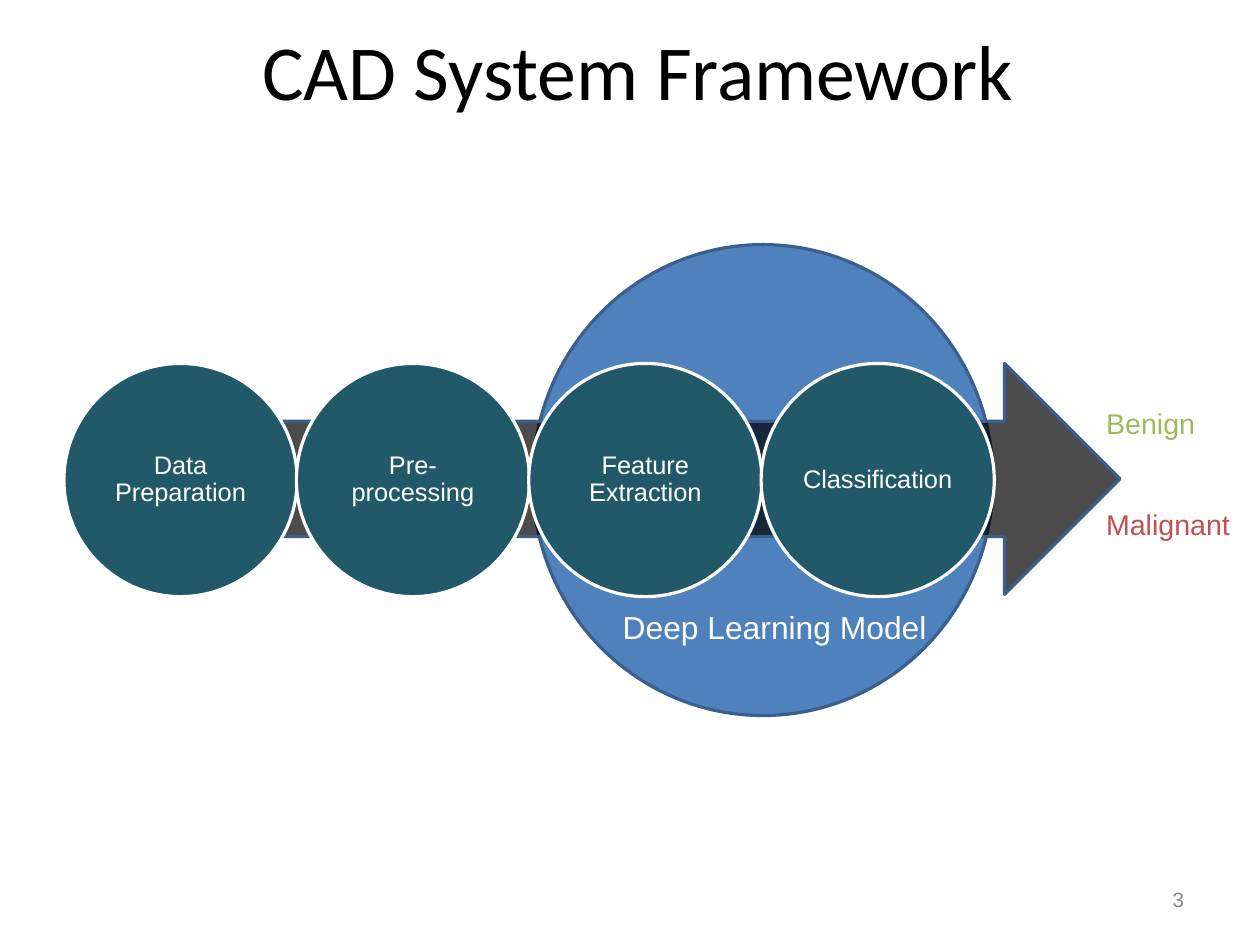
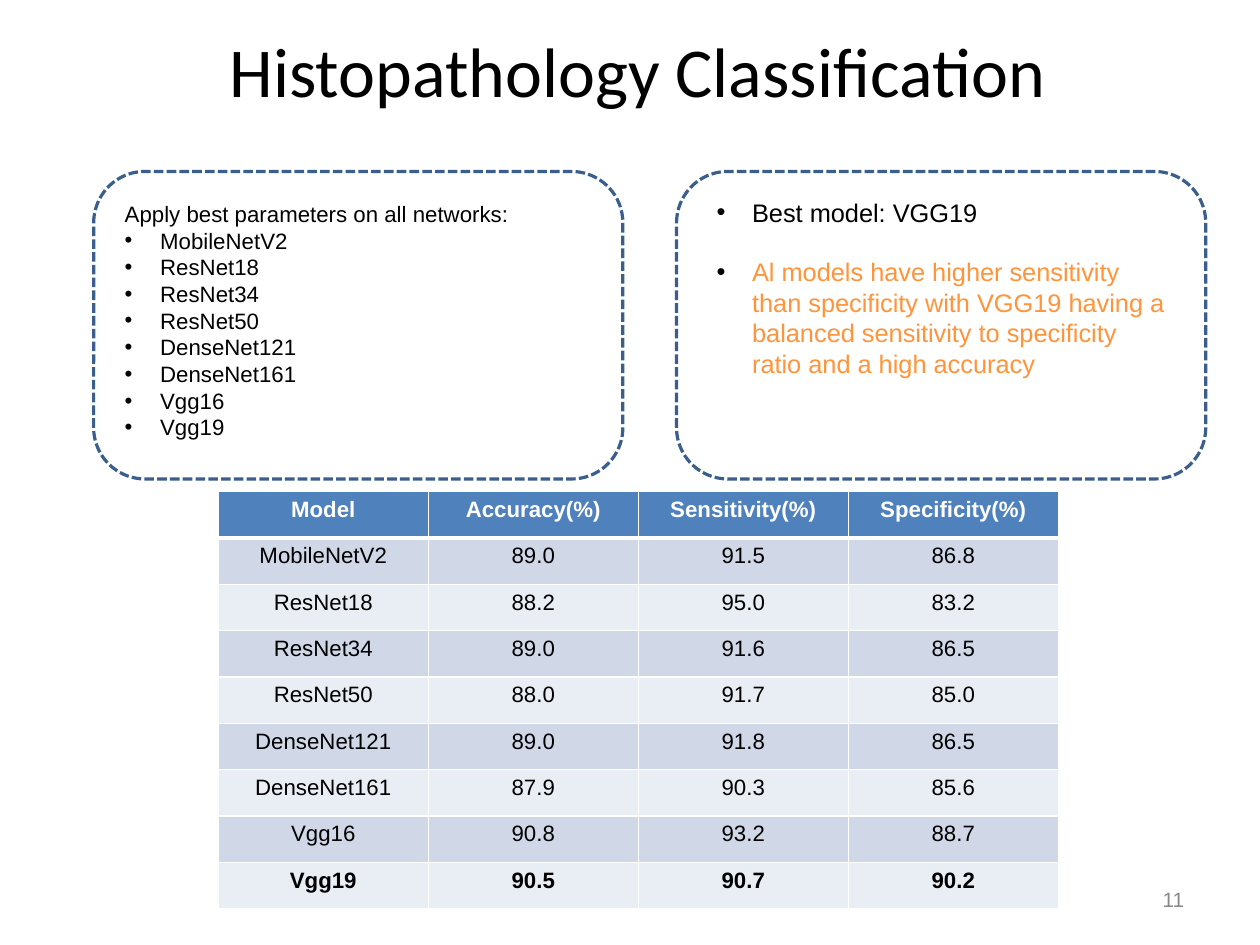
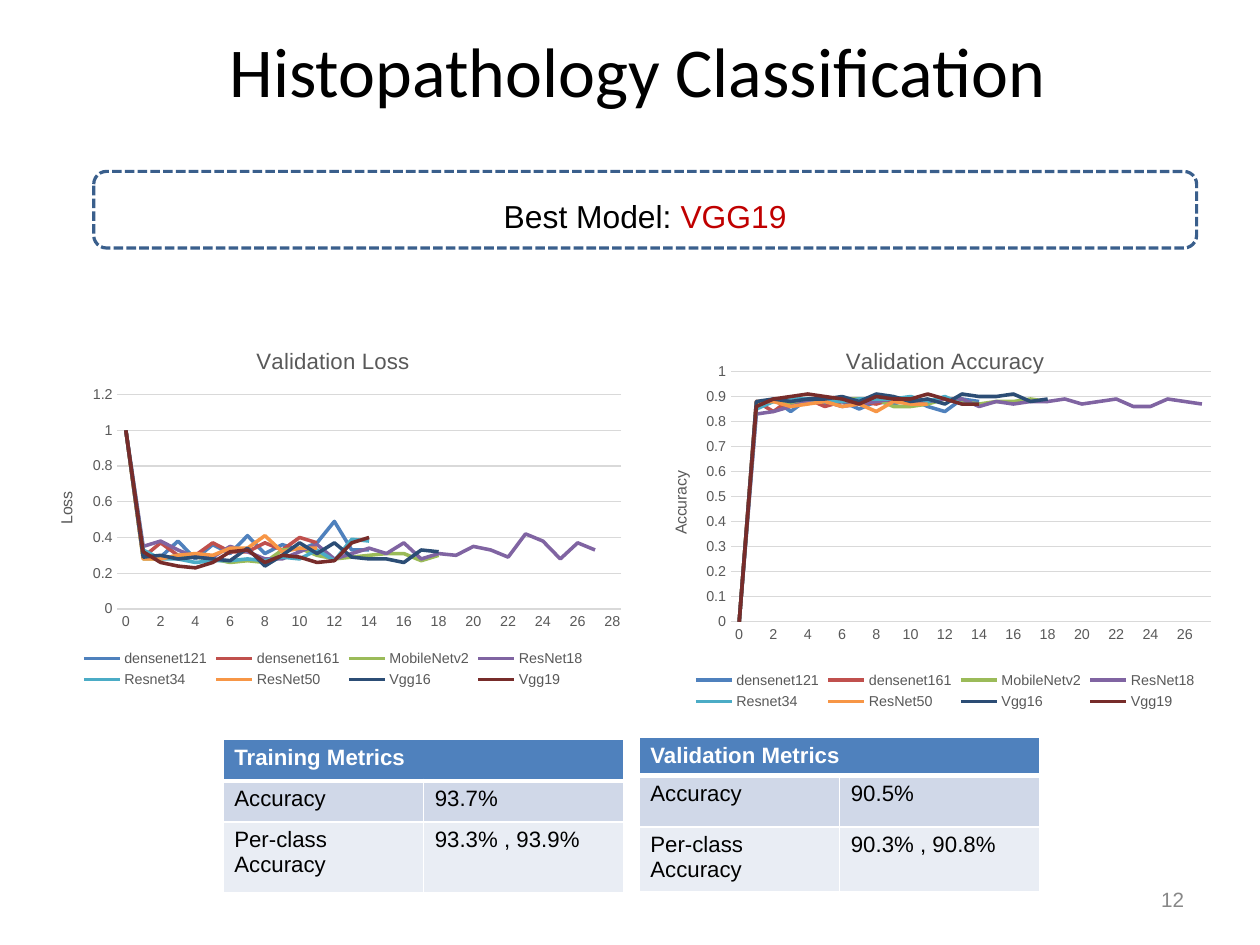
from lxml import etree
from pptx import Presentation
from pptx.chart.data import CategoryChartData
from pptx.dml.color import RGBColor
from pptx.enum.chart import XL_CHART_TYPE, XL_LEGEND_POSITION, XL_TICK_MARK
from pptx.enum.dml import MSO_LINE
from pptx.enum.shapes import MSO_SHAPE
from pptx.enum.text import MSO_ANCHOR, PP_ALIGN
from pptx.oxml.ns import qn
from pptx.util import Emu, Inches, Pt

LEFT, CENTER, RIGHT = PP_ALIGN.LEFT, PP_ALIGN.CENTER, PP_ALIGN.RIGHT
TOP, MIDDLE = MSO_ANCHOR.TOP, MSO_ANCHOR.MIDDLE
ELLIPSE, ARROW = MSO_SHAPE.OVAL, MSO_SHAPE.RIGHT_ARROW
ROUNDED = MSO_SHAPE.ROUNDED_RECTANGLE
DASH = MSO_LINE.SQUARE_DOT
LINE_CHART = XL_CHART_TYPE.LINE
LEGEND_BOTTOM = XL_LEGEND_POSITION.BOTTOM
NO_TICK = XL_TICK_MARK.NONE

BLACK = RGBColor(0x00, 0x00, 0x00)
WHITE = RGBColor(0xFF, 0xFF, 0xFF)
BLUE = RGBColor(0x4F, 0x81, 0xBD)
OUTLINE = RGBColor(0x3A, 0x5F, 0x8C)
TEAL = RGBColor(0x21, 0x59, 0x68)
GREEN = RGBColor(0x9B, 0xBB, 0x59)
RED = RGBColor(0xC0, 0x50, 0x4D)
DARK_RED = RGBColor(0xC0, 0x00, 0x00)
ORANGE = RGBColor(0xFF, 0x94, 0x3A)
PAGE_GRAY = RGBColor(0x88, 0x88, 0x88)
CHART_GRAY = RGBColor(0x59, 0x59, 0x59)
GRID_GRAY = RGBColor(0xD9, 0xD9, 0xD9)
BANDS = (RGBColor(0xE9, 0xED, 0xF4), RGBColor(0xD0, 0xD8, 0xE8))
SERIES_COLORS = (
    BLUE, RED, GREEN, RGBColor(0x80, 0x64, 0xA2), RGBColor(0x4B, 0xAC, 0xC6),
    RGBColor(0xF7, 0x96, 0x46), RGBColor(0x2C, 0x4D, 0x75), RGBColor(0x77, 0x2C, 0x2A),
)

BODY_FONT, TITLE_FONT = "Arial", "Calibri"

MODEL_SCORES = [
    ("Model", "Accuracy(%)", "Sensitivity(%)", "Specificity(%)"),
    ("MobileNetV2", "89.0", "91.5", "86.8"),
    ("ResNet18", "88.2", "95.0", "83.2"),
    ("ResNet34", "89.0", "91.6", "86.5"),
    ("ResNet50", "88.0", "91.7", "85.0"),
    ("DenseNet121", "89.0", "91.8", "86.5"),
    ("DenseNet161", "87.9", "90.3", "85.6"),
    ("Vgg16", "90.8", "93.2", "88.7"),
    ("Vgg19", "90.5", "90.7", "90.2"),
]

ACCURACY = {
    "densenet121": [0, .87, .89, .84, .89, .87, .88, .85, .88, .87, .89, .86, .84, .89, .88],
    "densenet161": [0, .88, .84, .89, .89, .86, .88, .88, .87, .89, .87, .89],
    "MobileNetv2": [0, .87, .88, .87, .88, .88, .89, .89, .89, .86, .86, .87, .89, .88, .87,
                    .88, .88, .89, .88],
    "ResNet18": [0, .83, .84, .86, .88, .88, .86, .87, .88, .89, .88, .88, .89, .89, .86,
                 .88, .87, .88, .88, .89, .87, .88, .89, .86, .86, .89, .88, .87],
    "Resnet34": [0, .85, .88, .89, .89, .88, .88, .89, .89, .89, .9, .88, .9, .87, .87],
    "ResNet50": [0, .88, .88, .86, .87, .88, .86, .87, .84, .88, .87, .87],
    "Vgg16": [0, .88, .89, .88, .89, .89, .9, .88, .91, .9, .88, .89, .87, .91, .9, .9,
              .91, .88, .89],
    "Vgg19": [0, .86, .89, .9, .91, .9, .89, .87, .9, .89, .89, .91, .89, .87, .87],
}

LOSS = {
    "densenet121": [1, .29, .29, .38, .28, .36, .31, .41, .31, .36, .33, .37, .49, .33, .33],
    "densenet161": [1, .29, .37, .3, .3, .37, .32, .32, .37, .33, .4, .37],
    "MobileNetv2": [1, .28, .28, .3, .29, .28, .26, .27, .26, .33, .34, .3, .28, .29, .3,
                    .31, .31, .27, .3],
    "ResNet18": [1, .35, .38, .33, .29, .29, .35, .32, .28, .28, .32, .36, .28, .31, .34,
                 .31, .37, .28, .31, .3, .35, .33, .29, .42, .38, .28, .37, .33],
    "Resnet34": [1, .33, .28, .28, .26, .27, .27, .28, .27, .29, .28, .33, .27, .39, .38],
    "ResNet50": [1, .28, .28, .3, .31, .3, .34, .34, .41, .32, .34, .34],
    "Vgg16": [1, .29, .3, .28, .29, .28, .27, .34, .24, .3, .37, .31, .37, .29, .28, .28,
              .26, .33, .32],
    "Vgg19": [1, .32, .26, .24, .23, .26, .32, .33, .26, .3, .29, .26, .27, .37, .4],
}


def set_font(font, size, color, name=BODY_FONT, bold=False):
    font.size, font.name, font.bold = Pt(size), name, bold
    font.color.rgb = color


def set_frame(frame, insets, anchor):
    """Insets are left, top, right and bottom in inches."""
    frame.word_wrap = True
    frame.vertical_anchor = anchor
    (frame.margin_left, frame.margin_top,
     frame.margin_right, frame.margin_bottom) = map(Inches, insets)


def add_bullet(paragraph):
    properties = paragraph._p.get_or_add_pPr()
    properties.set("marL", str(Inches(0.31)))
    properties.set("indent", str(Inches(-0.31)))
    color = etree.SubElement(properties, qn("a:buClr"))
    etree.SubElement(color, qn("a:srgbClr"), val=str(BLACK))
    etree.SubElement(properties, qn("a:buFont"), typeface=BODY_FONT)
    etree.SubElement(properties, qn("a:buChar"), char="•")


def write(frame, text, size, color=BLACK, align=LEFT, bullet=False, name=BODY_FONT,
          bold=False):
    """Fill the frame's empty first paragraph, or add one after the text."""
    paragraph = frame.add_paragraph() if frame.text else frame.paragraphs[0]
    paragraph.add_run().text = text
    paragraph.alignment = align
    if bullet:
        add_bullet(paragraph)
    set_font(paragraph.font, size, color, name, bold)
    return paragraph


def set_borders(cell, row):
    """White borders, heavier between the header and the first row."""
    properties = cell._tc.get_or_add_tcPr()
    widths = {"L": 1, "R": 1, "T": 3 if row == 1 else 1, "B": 3 if row == 0 else 1}
    for side, width in widths.items():
        line = etree.SubElement(properties, qn(f"a:ln{side}"), w=str(Pt(width)))
        fill = etree.SubElement(line, qn("a:solidFill"))
        etree.SubElement(fill, qn("a:srgbClr"), val=str(WHITE))


def set_plot_layout(chart, layout):
    """Place the inner plot area by fractions of the chart: x, y, width, height."""
    plot_area = chart._chartSpace.chart.plotArea
    for old_layout in plot_area.findall(qn("c:layout")):
        plot_area.remove(old_layout)
    element = etree.Element(qn("c:layout"))
    manual = etree.SubElement(element, qn("c:manualLayout"))
    values = [("layoutTarget", "inner"), ("xMode", "edge"), ("yMode", "edge"),
              *zip("xywh", layout)]
    for tag, value in values:
        etree.SubElement(manual, qn(f"c:{tag}"), val=str(value))
    plot_area.insert(0, element)


class Deck:
    def __init__(self):
        self.presentation = Presentation()
        self.presentation.slide_width = Pt(793.75)
        self.presentation.slide_height = Pt(595.25)
        self.slide = None

    def new_slide(self, title, number, title_size=44.1):
        self.slide = self.presentation.slides.add_slide(self.presentation.slide_layouts[6])
        insets = (0.11, 0.06, 0.11, 0.06)
        frame = self.text_box(0.62, 0.2, 9.92, 0.82, insets, MIDDLE)
        write(frame, title, title_size, align=CENTER, name=TITLE_FONT)
        frame = self.text_box(7.9, 7.66, 2.57, 0.44, insets, MIDDLE)
        write(frame, str(number), 13, PAGE_GRAY, RIGHT).line_spacing = 0.93

    def text_box(self, left, top, width, height, insets=(0.1, 0.05, 0.1, 0.05), anchor=TOP):
        box = self.slide.shapes.add_textbox(*map(Inches, (left, top, width, height)))
        set_frame(box.text_frame, insets, anchor)
        return box.text_frame

    def shape(self, kind, left, top, width, height, fill=None, line=OUTLINE):
        shape = self.slide.shapes.add_shape(kind, *map(Inches, (left, top, width, height)))
        shape.shadow.inherit = False
        if fill is None:
            shape.fill.background()
        else:
            shape.fill.solid()
            shape.fill.fore_color.rgb = fill
        shape.line.color.rgb = line
        shape.line.width = Pt(2)
        return shape

    def arrow(self, left, top, width, height, opacity):
        arrow = self.shape(ARROW, left, top, width, height, BLACK)
        color = arrow._element.spPr.find(qn("a:solidFill"))[0]
        etree.SubElement(color, qn("a:alpha"), val=str(opacity * 1000))

    def step(self, left, label):
        circle = self.shape(ELLIPSE, left, 3.18, 2.04, 2.04, TEAL, WHITE)
        set_frame(circle.text_frame, (0, 0, 0, 0), MIDDLE)
        write(circle.text_frame, label, 16, WHITE, CENTER).line_spacing = 0.9

    def panel(self, left, width, height, inset_left, inset_top):
        """Dashed rounded box; gives back its text frame."""
        panel = self.shape(ROUNDED, left, 1.5, width, height)
        panel.line.dash_style = DASH
        set_frame(panel.text_frame, (inset_left, inset_top, 0.17, 0), TOP)
        return panel.text_frame

    def table(self, left, top, width, heights, rows, align=LEFT, bold_rows=(0,)):
        columns = len(rows[-1])
        table = self.slide.shapes.add_table(
            len(rows), columns, Inches(left), Inches(top), Inches(width),
            Inches(sum(heights))).table
        for column in table.columns:
            column.width = Emu(Inches(width) // columns)
        for index, (values, height) in enumerate(zip(rows, heights)):
            table.rows[index].height = Inches(height)
            for cell in table.rows[index].cells:
                set_borders(cell, index)
                cell.fill.solid()
                cell.fill.fore_color.rgb = BANDS[index % 2] if index else BLUE
            if len(values) == 1:
                table.cell(index, 0).merge(table.cell(index, columns - 1))
            for column, value in enumerate(values):
                write(table.cell(index, column).text_frame, value, 14,
                      BLACK if index else WHITE, align, bold=index in bold_rows)

    def line_chart(self, place, title, axis_title, series, epochs, maximum, unit, layout):
        data = CategoryChartData()
        data.categories = ["" if epoch % 2 else str(epoch) for epoch in range(epochs)]
        for name, values in series.items():
            data.add_series(name, values + [None] * (epochs - len(values)))
        chart = self.slide.shapes.add_chart(LINE_CHART, *map(Inches, place), data).chart
        set_font(chart.font, 9, CHART_GRAY)
        chart.has_title = True
        write(chart.chart_title.text_frame, title, 14, CHART_GRAY, CENTER)
        chart.has_legend = True
        chart.legend.position = LEGEND_BOTTOM
        chart.legend.include_in_layout = False
        set_font(chart.legend.font, 9, CHART_GRAY)
        set_plot_layout(chart, layout)

        for axis in (chart.category_axis, chart.value_axis):
            axis.major_tick_mark = axis.minor_tick_mark = NO_TICK
            set_font(axis.tick_labels.font, 9, CHART_GRAY)
        chart.category_axis.format.line.color.rgb = GRID_GRAY
        chart.category_axis.format.line.width = Pt(0.75)
        value_axis = chart.value_axis
        value_axis.format.line.fill.background()
        value_axis.minimum_scale, value_axis.maximum_scale = 0, maximum
        value_axis.major_unit = unit
        grid_line = value_axis.major_gridlines.format.line
        grid_line.color.rgb = GRID_GRAY
        grid_line.width = Pt(0.75)
        frame = value_axis.axis_title.text_frame
        write(frame, axis_title, 10, CHART_GRAY, CENTER)
        frame._txBody.bodyPr.set("rot", "-5400000")

        chart.plots[0].vary_by_categories = False
        for line, color in zip(chart.plots[0].series, SERIES_COLORS):
            line.smooth = False
            line.format.line.color.rgb = color
            line.format.line.width = Pt(2.25)


def add_framework(deck):
    deck.new_slide("CAD System Framework", 3, 49)
    deck.shape(ELLIPSE, 4.66, 2.14, 4.03, 4.12, BLUE)
    deck.arrow(0.73, 3.18, 9.07, 2.02, 70)
    steps = ("Data Preparation", "Pre-processing", "Feature Extraction", "Classification")
    first, last = 0.56, 6.66
    pitch = (last - first) / (len(steps) - 1)
    for index, label in enumerate(steps):
        deck.step(first + pitch * index, label)
    write(deck.text_box(9.58, 3.5, 1.27, 0.4), "Benign", 18, GREEN)
    write(deck.text_box(9.58, 4.39, 1.37, 0.4), "Malignant", 18, RED)
    write(deck.text_box(5.35, 5.27, 3.23, 0.44), "Deep Learning Model", 20, WHITE)


def add_model_comparison(deck):
    deck.new_slide("Histopathology Classification", 11)
    findings = deck.panel(5.92, 4.63, 2.69, 0.22, 0.09)
    write(findings, "Best model: VGG19", 16, bullet=True)
    conclusion = write(
        findings,
        "Al models have higher sensitivity than specificity with VGG19 having a "
        "balanced sensitivity to specificity ratio and a high accuracy",
        16, ORANGE, bullet=True)
    conclusion.space_before = Pt(18.4)

    networks = deck.panel(0.82, 4.63, 2.69, 0.14, 0.12)
    write(networks, "Apply best parameters on all networks:", 14)
    for model, *_ in MODEL_SCORES[1:]:
        write(networks, model, 14, bullet=True)
    row_count = len(MODEL_SCORES)
    deck.table(1.91, 4.3, 7.35, [3.65 / row_count] * row_count, MODEL_SCORES, CENTER,
               (0, row_count - 1))


def add_best_model(deck):
    deck.new_slide("Histopathology Classification", 12)
    best = write(deck.panel(0.82, 9.65, 0.67, 0.17, 0.19), "Best Model: ", 20, align=CENTER)
    winner = best.add_run()
    winner.text = "VGG19"
    winner.font.color.rgb = DARK_RED

    deck.line_chart((5.8, 2.88, 4.94, 3.37), "Validation Accuracy", "Accuracy", ACCURACY,
                    28, 1, 0.1, (0.12, 0.11, 0.85, 0.65))
    deck.line_chart((0.29, 2.88, 5.25, 3.18), "Validation Loss", "Loss", LOSS,
                    29, 1.2, 0.2, (0.14, 0.18, 0.84, 0.59))

    metrics = (
        ("Training Metrics", 1.95, 6.47, (0.36, 0.36, 0.62), "93.7%", "93.3% , 93.9%"),
        ("Validation Metrics", 5.59, 6.45, (0.32, 0.45, 0.56), "90.5%", "90.3% , 90.8%"),
    )
    for heading, left, top, heights, accuracy, per_class in metrics:
        rows = [(heading,), ("Accuracy", accuracy), ("Per-class Accuracy", per_class)]
        deck.table(left, top, 3.51, heights, rows)


def main():
    deck = Deck()
    add_framework(deck)
    add_model_comparison(deck)
    add_best_model(deck)
    deck.presentation.save("out.pptx")


if __name__ == "__main__":
    main()
